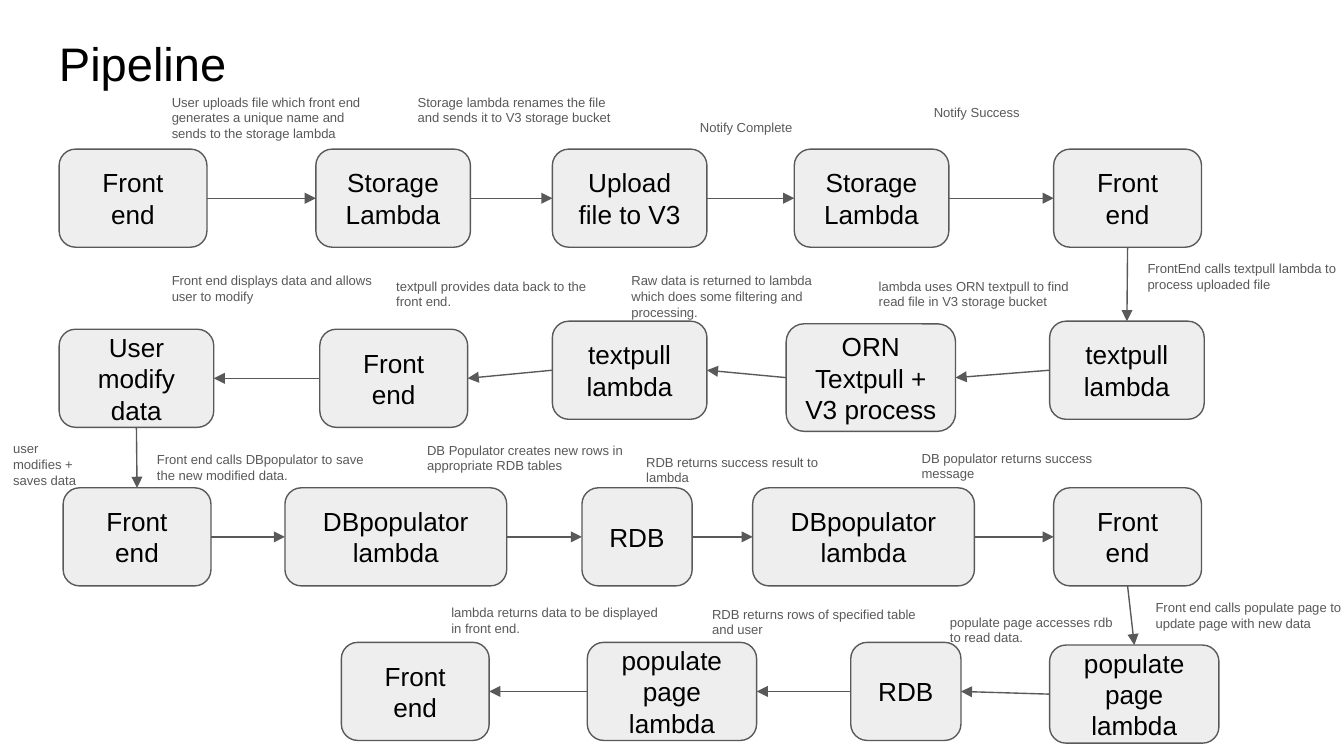
from itertools import pairwise
from lxml import etree
from pptx import Presentation
from pptx.dml.color import RGBColor
from pptx.enum.shapes import MSO_CONNECTOR, MSO_SHAPE
from pptx.enum.text import MSO_ANCHOR, PP_ALIGN
from pptx.oxml.ns import qn
from pptx.util import Inches, Pt


def color(code):
    return RGBColor.from_string(code)


def write(shape, text, size, code, align=PP_ALIGN.LEFT, anchor=MSO_ANCHOR.TOP):
    frame = shape.text_frame
    frame.word_wrap = True
    frame.vertical_anchor = anchor
    frame.margin_left = frame.margin_right = Inches(0.1)
    frame.margin_top = frame.margin_bottom = Inches(0.1)
    frame.text = text
    line = frame.paragraphs[0]
    line.alignment = align
    font = line.runs[0].font
    font.name = "Arial"
    font.size = Pt(size)
    font.color.rgb = color(code)


INK, GRAY, PALE = "000000", "595959", "EEEEEE"
TOP, LEFT, BOTTOM, RIGHT = range(4)

deck = Presentation()
deck.slide_width = Inches(10)
deck.slide_height = Inches(10 * 9 / 16)
slide = deck.slides.add_slide(deck.slide_layouts[6])
shapes = slide.shapes

title = shapes.add_textbox(Inches(0.34), Inches(0.16), Inches(9.32), Inches(0.63))
write(title, "Pipeline", 25.2, INK)

rows = [
    (RIGHT, LEFT, [
        ("Front end", 0.44, 1.11, 1.1, 0.73),
        ("Storage Lambda", 2.35, 1.11, 1.15, 0.73),
        ("Upload file to V3", 4.11, 1.11, 1.15, 0.73),
        ("Storage Lambda", 5.91, 1.11, 1.15, 0.73),
        ("Front end", 7.84, 1.11, 1.1, 0.73),
    ]),
    (LEFT, RIGHT, [
        ("textpull lambda", 7.81, 2.39, 1.15, 0.73),
        ("ORN Textpull + V3 process", 5.85, 2.41, 1.26, 0.8),
        ("textpull lambda", 4.11, 2.39, 1.15, 0.73),
        ("Front end", 2.38, 2.45, 1.1, 0.73),
        ("User modify data", 0.44, 2.45, 1.15, 0.73),
    ]),
    (RIGHT, LEFT, [
        ("Front end", 0.47, 3.63, 1.1, 0.73),
        ("DBpopulator lambda", 2.12, 3.63, 1.65, 0.73),
        ("RDB", 4.33, 3.63, 0.82, 0.73),
        ("DBpopulator lambda", 5.6, 3.63, 1.65, 0.73),
        ("Front end", 7.84, 3.63, 1.1, 0.73),
    ]),
    (LEFT, RIGHT, [
        ("populate page lambda", 7.81, 4.8, 1.26, 0.73),
        ("RDB", 6.33, 4.78, 0.82, 0.73),
        ("populate page lambda", 4.37, 4.78, 1.26, 0.73),
        ("Front end", 2.54, 4.78, 1.1, 0.73),
    ]),
]

links = []
last = None
for leave, enter, steps in rows:
    boxes = []
    for text, *place in steps:
        box = shapes.add_shape(MSO_SHAPE.FLOWCHART_ALTERNATE_PROCESS, *map(Inches, place))
        box.shadow.inherit = False
        box.fill.solid()
        box.fill.fore_color.rgb = color(PALE)
        box.line.color.rgb = color(GRAY)
        box.line.width = Pt(0.75)
        write(box, text, 14, INK, PP_ALIGN.CENTER, MSO_ANCHOR.MIDDLE)
        boxes.append(box)
    if last is not None:
        links.append((last, BOTTOM, boxes[0], TOP))
    links += [(a, leave, b, enter) for a, b in pairwise(boxes)]
    last = boxes[-1]

for start, leave, end, enter in links:
    arrow = shapes.add_connector(MSO_CONNECTOR.STRAIGHT, 0, 0, 0, 0)
    arrow.begin_connect(start, leave)
    arrow.end_connect(end, enter)
    arrow.line.color.rgb = color(GRAY)
    arrow.line.width = Pt(0.75)
    props = arrow.element.spPr
    etree.SubElement(props.find(qn("a:ln")), qn("a:tailEnd"), type="triangle")
    etree.SubElement(props, qn("a:effectLst"))

notes = [
    ("User uploads file which front end generates a unique name and sends to the storage lambda",
     1.18, 0.6, 1.74, 0.56),
    ("Storage lambda renames the file and sends it to V3 storage bucket", 3.01, 0.6, 1.74, 0.44),
    ("Notify Complete", 5.11, 0.83, 1.74, 0.32),
    ("Notify Success", 6.85, 0.72, 1.74, 0.32),
    ("FrontEnd calls textpull lambda to process uploaded file", 8.44, 1.84, 1.74, 0.44),
    ("lambda uses ORN textpull to find read file in V3 storage bucket", 6.44, 1.97, 1.74, 0.44),
    ("Raw data is returned to lambda which does some filtering and processing.",
     4.6, 1.93, 1.74, 0.56),
    ("textpull provides data back to the front end.", 2.85, 1.97, 1.74, 0.44),
    ("Front end displays data and allows user to modify", 1.18, 1.93, 1.74, 0.44),
    ("user modifies + saves data", 0, 3.18, 0.7, 0.56),
    ("Front end calls DBpopulator to save the new modified data.", 1.07, 3.26, 1.74, 0.44),
    ("DB Populator creates new rows in appropriate RDB tables", 3.08, 3.19, 1.74, 0.44),
    ("RDB returns success result to lambda", 4.71, 3.28, 1.74, 0.44),
    ("DB populator returns success message", 6.76, 3.25, 1.74, 0.44),
    ("Front end calls populate page to update page with new data", 8.5, 4.36, 1.74, 0.44),
    ("populate page accesses rdb to read data.", 6.97, 4.47, 1.44, 0.44),
    ("RDB returns rows of specified table and user", 5.2, 4.41, 1.74, 0.44),
    ("lambda returns data to be displayed in front end.", 3.26, 4.4, 1.74, 0.44),
]
for text, *place in notes:
    note = shapes.add_textbox(*map(Inches, place))
    write(note, text, 7, GRAY)

deck.save("out.pptx")
